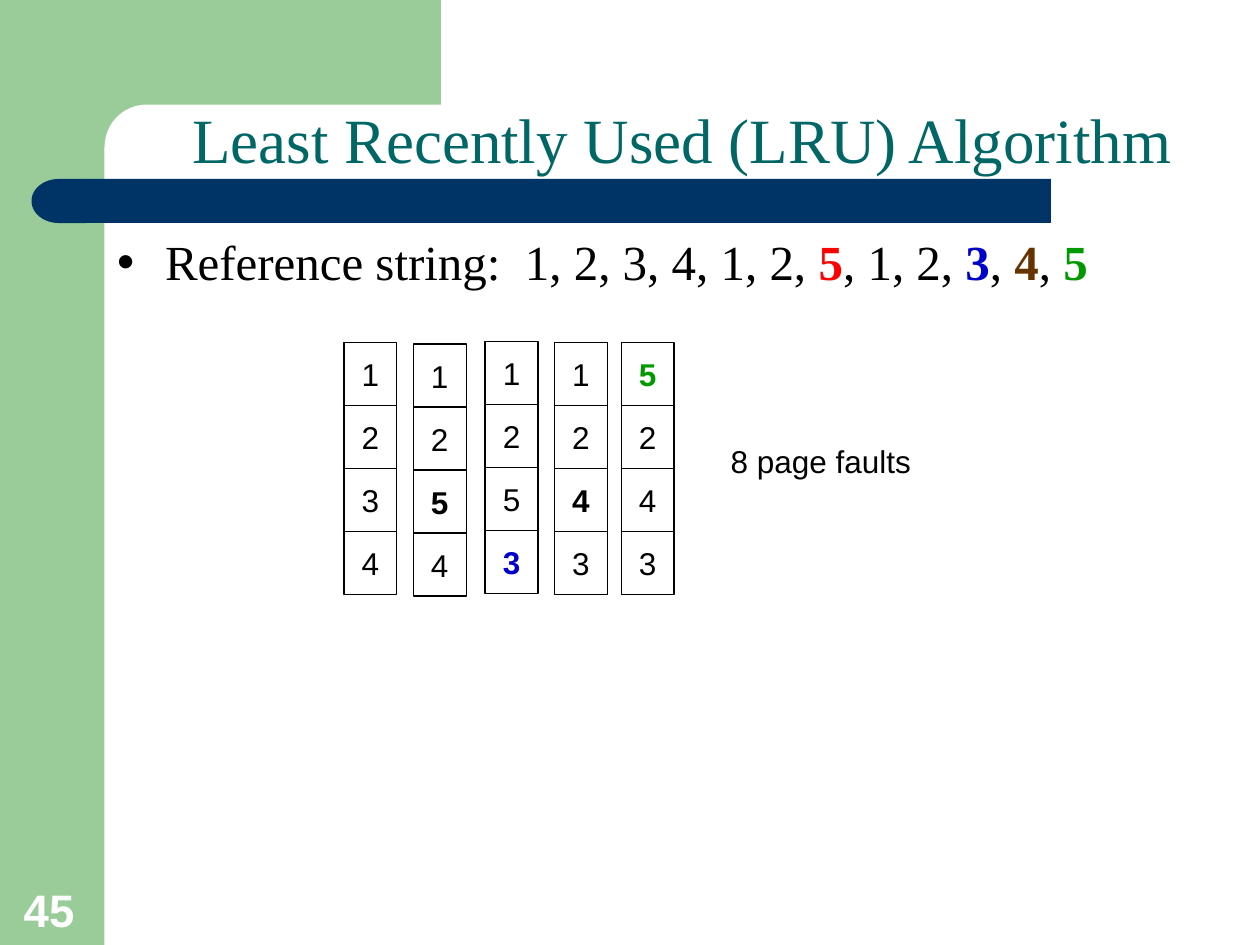
from dataclasses import dataclass
from typing import NamedTuple

from pptx import Presentation
from pptx.dml.color import RGBColor
from pptx.enum.shapes import MSO_SHAPE as Preset
from pptx.enum.text import MSO_ANCHOR as Anchor, MSO_AUTO_SIZE as AutoSize, PP_ALIGN as Align
from pptx.util import Inches, Pt


@dataclass(frozen=True)
class Theme:
    """Colours, fonts and type sizes of the deck."""
    green: str = "99CC99"
    navy: str = "003366"
    teal: str = "006666"
    white: str = "FFFFFF"
    black: str = "000000"
    red: str = "FF0000"
    blue: str = "0000CC"
    brown: str = "663300"
    leaf: str = "009900"
    serif: str = "Times New Roman"
    sans: str = "Arial"
    title_size: int = 36
    body_size: int = 28
    number_size: int = 26
    label_size: int = 18


class Box(NamedTuple):
    """A region in inches."""
    left: float
    top: float
    width: float
    height: float

    def inner(self, left, top, width, height):
        """Return a box placed relative to this one."""
        return Box(self.left + left, self.top + top, width, height)

    def lengths(self):
        """Return the four sides as lengths."""
        return [Inches(side) for side in self]


THEME = Theme()


def add_span(para, text, font, size, color=THEME.black, bold=False):
    """Add one formatted run to a paragraph."""
    span = para.add_run()
    span.text = text
    span.font.name = font
    span.font.size = Pt(size)
    span.font.bold = bold
    span.font.color.rgb = RGBColor.from_string(color)


def add_block(page, preset, box, fill):
    """Add a filled shape with no outline or shadow."""
    shape = page.shapes.add_shape(preset, *box.lengths())
    shape.shadow.inherit = False
    shape.fill.solid()
    shape.fill.fore_color.rgb = RGBColor.from_string(fill)
    shape.line.fill.background()
    return shape


def place_placeholder(page, holder, box):
    """Move a placeholder into a box, in front of the shapes so far."""
    holder.left, holder.top, holder.width, holder.height = box.lengths()
    page.shapes.element.append(holder.element)
    frame = holder.text_frame
    frame.auto_size = AutoSize.NONE
    return frame


def add_text(page, box, anchor, align, wrap):
    """Add a text box and return its first paragraph."""
    frame = page.shapes.add_textbox(*box.lengths()).text_frame
    frame.word_wrap = wrap
    frame.vertical_anchor = anchor
    para = frame.paragraphs[0]
    para.alignment = align
    return para


def add_backdrop(page, box):
    """Draw the green corner with its rounded white cut-out."""
    add_block(page, Preset.RECTANGLE, box.inner(0, 0, 0.83, box.height), THEME.green)
    add_block(page, Preset.RECTANGLE, box.inner(0.75, 0, 2.75, 1.17), THEME.green)
    cutout = add_block(page, Preset.ROUNDED_RECTANGLE, box.inner(0.83, 0.83, 3.42, 0.67), THEME.white)
    cutout.adjustments[0] = 0.5


def add_title_bar(page, box):
    """Draw the navy bar with its round left end."""
    cap = 0.42
    add_block(page, Preset.RECTANGLE, box.inner(cap, 0, box.width - cap, box.height), THEME.navy)
    end = add_block(page, Preset.FLOWCHART_DELAY, box.inner(0, 0, cap + 0.01, box.height), THEME.navy)
    end.rotation = 180


def add_page_number(page, box, number):
    """Write the page number in the green margin."""
    para = add_text(page, box, Anchor.BOTTOM, Align.LEFT, True)
    add_span(para, number, THEME.sans, THEME.number_size, THEME.white, True)


def add_title(page, box, text):
    """Fill the title placeholder."""
    frame = place_placeholder(page, page.shapes.title, box)
    frame.vertical_anchor = Anchor.BOTTOM
    para = frame.paragraphs[0]
    para.alignment = Align.CENTER
    add_span(para, text, THEME.serif, THEME.title_size, THEME.teal)


def add_reference_string(page, box, pieces):
    """Fill the body placeholder with the bulleted reference string."""
    frame = place_placeholder(page, page.placeholders[1], box)
    frame.vertical_anchor = Anchor.TOP
    para = frame.paragraphs[0]
    para.line_spacing = 0.9
    para.space_before = Pt(0)
    properties = para._p.get_or_add_pPr()
    properties.set("marL", str(Inches(0.38)))
    properties.set("indent", str(Inches(-0.38)))
    for text, color in pieces:
        add_span(para, text, THEME.serif, THEME.body_size, color, color != THEME.black)


def add_frames(page, box, values, loaded, color):
    """Stack one column of memory frames, marking the loaded page."""
    height = box.height / len(values)
    for row, value in enumerate(values):
        cell = add_block(page, Preset.RECTANGLE, box.inner(0, row * height, box.width, height), THEME.white)
        cell.line.color.rgb = RGBColor.from_string(THEME.black)
        cell.line.width = Pt(0.75)
        frame = cell.text_frame
        frame.word_wrap = False
        frame.vertical_anchor = Anchor.MIDDLE
        para = frame.paragraphs[0]
        para.alignment = Align.CENTER
        marked = value == loaded
        add_span(para, value, THEME.sans, THEME.label_size, color if marked else THEME.black, marked)


def add_frame_history(page, box):
    """Draw the frame columns and the fault count beside them."""
    columns = [
        (0, 0.01, "1234", None, THEME.black),
        (0.55, 0.02, "1254", "5", THEME.black),
        (1.12, 0, "1253", "3", THEME.blue),
        (1.67, 0.01, "1243", "4", THEME.black),
        (2.2, 0.01, "5243", "5", THEME.leaf),
    ]
    for left, top, values, loaded, color in columns:
        add_frames(page, box.inner(left, top, 0.42, 2), values, loaded, color)
    para = add_text(page, box.inner(2.97, 0.75, 1.63, 0.4), Anchor.MIDDLE, Align.CENTER, False)
    add_span(para, "8 page faults", THEME.sans, THEME.label_size)


def main():
    """Build the slide and save the deck."""
    deck = Presentation()
    deck.slide_width, deck.slide_height = Inches(10), Inches(7.5)
    page = deck.slides.add_slide(deck.slide_layouts[1])
    add_backdrop(page, Box(0, 0, 10, 7.5))
    add_page_number(page, Box(0.09, 6.94, 0.64, 0.54), "45")
    add_title_bar(page, Box(0.25, 1.42, 8.09, 0.35))
    add_title(page, Box(0.83, 0.78, 9.17, 0.67), "Least Recently Used (LRU) Algorithm")
    add_reference_string(page, Box(0.83, 1.84, 9.17, 5.66), [
        ("Reference string:  1, 2, 3, 4, 1, 2, ", THEME.black),
        ("5", THEME.red),
        (", 1, 2, ", THEME.black),
        ("3", THEME.blue),
        (", ", THEME.black),
        ("4", THEME.brown),
        (", ", THEME.black),
        ("5", THEME.leaf),
    ])
    add_frame_history(page, Box(2.73, 2.71, 4.6, 2.02))
    deck.save("out.pptx")


if __name__ == "__main__":
    main()
